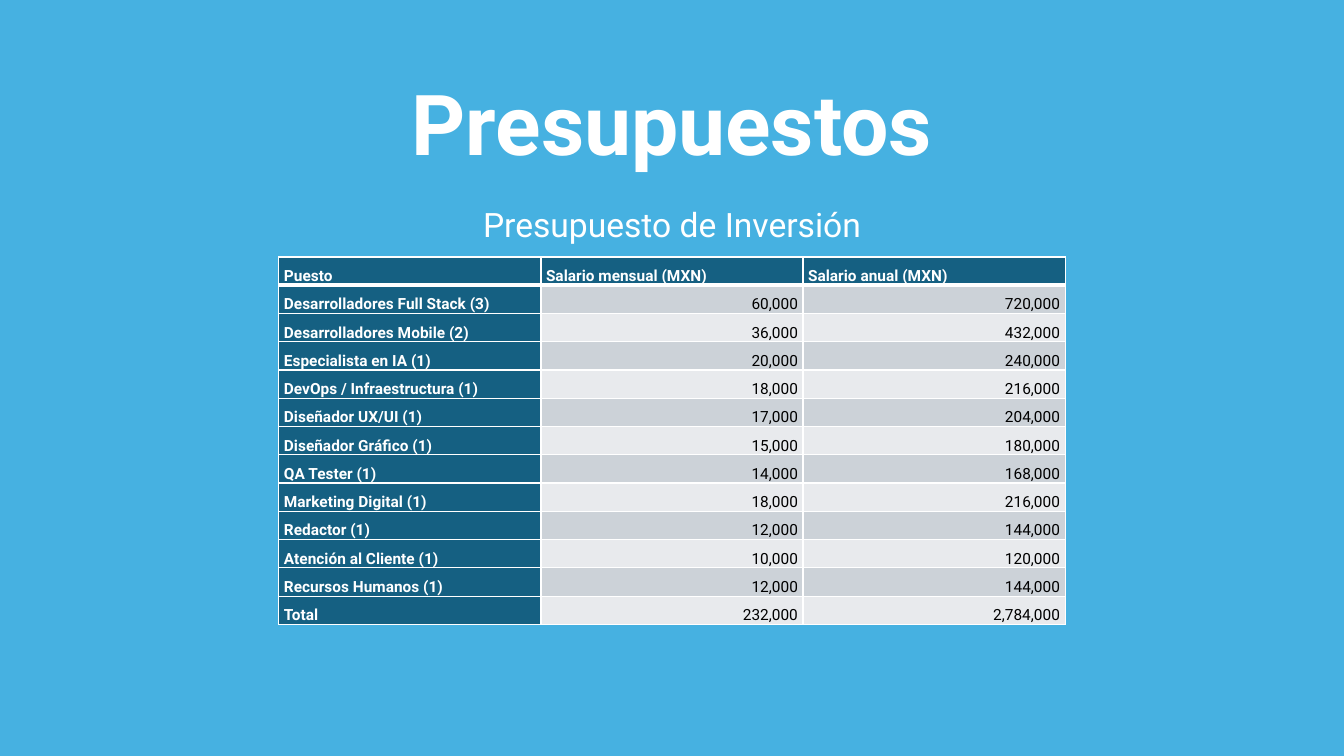
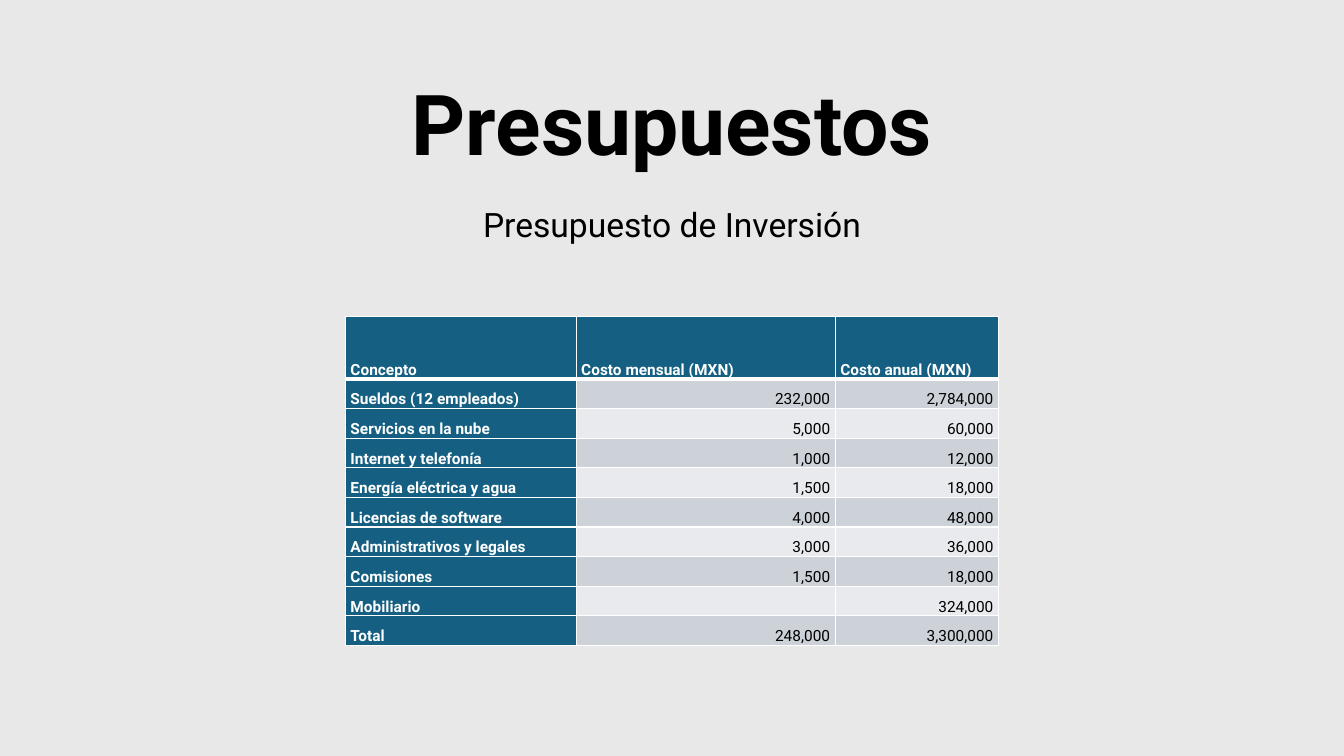
"""Build two budget slides, each with a title, a subtitle and a cost table."""
from dataclasses import dataclass
from typing import Optional

from lxml import etree
from pptx import Presentation
from pptx import util as u
from pptx.dml.color import RGBColor
from pptx.enum import shapes, text
from pptx.oxml.ns import qn

FONT = "Roboto"
WHITE = RGBColor(0xFF, 0xFF, 0xFF)
BLACK = RGBColor(0x00, 0x00, 0x00)
PALE_GREY = RGBColor(0xE8, 0xE8, 0xE8)
SKY_BLUE = RGBColor(0x46, 0xB1, 0xE1)
DEEP_BLUE = RGBColor(0x15, 0x60, 0x82)
STRIPES = (RGBColor(0xCC, 0xD2, 0xD8), RGBColor(0xE8, 0xEA, 0xED))

SLIDE_WIDTH = u.Inches(13.33)
SLIDE_HEIGHT = u.Inches(7.5)
THIN, THICK = 1, 3
CELL_SIZE = 11
CELL_INSET = u.Inches(0.05)


@dataclass(frozen=True)
class Area:
    """Place on the slide, in percent of its width and height."""

    left: float
    top: float
    width: float
    height: float

    def box(self) -> tuple[int, int, int, int]:
        """Return left, top, width and height as slide lengths."""
        return across(self.left), down(self.top), across(self.width), down(self.height)


@dataclass(frozen=True)
class Budget:
    """Content of one slide; table lengths are percent of the slide."""

    ink: RGBColor
    backdrop: Optional[RGBColor]
    top: float
    columns: tuple[float, ...]
    header_height: float
    row_height: float
    headings: tuple[str, ...]
    costs: tuple[tuple[str, Optional[int], int], ...]


TITLE_AREA = Area(0, 3.47, 100, 25.2)
SUBTITLE_AREA = Area(10, 26.27, 80, 6.67)

BUDGETS = (
    Budget(
        ink=WHITE,
        backdrop=SKY_BLUE,
        top=34,
        columns=(19.5, 19.5, 19.5),
        header_height=3.74,
        row_height=3.74,
        headings=("Puesto", "Salario mensual (MXN)", "Salario anual (MXN)"),
        costs=(
            ("Desarrolladores Full Stack (3)", 60000, 720000),
            ("Desarrolladores Mobile (2)", 36000, 432000),
            ("Especialista en IA (1)", 20000, 240000),
            ("DevOps / Infraestructura (1)", 18000, 216000),
            ("Diseñador UX/UI (1)", 17000, 204000),
            ("Diseñador Gráfico (1)", 15000, 180000),
            ("QA Tester (1)", 14000, 168000),
            ("Marketing Digital (1)", 18000, 216000),
            ("Redactor (1)", 12000, 144000),
            ("Atención al Cliente (1)", 10000, 120000),
            ("Recursos Humanos (1)", 12000, 144000),
            ("Total", 232000, 2784000),
        ),
    ),
    Budget(
        ink=BLACK,
        backdrop=None,
        top=41.87,
        columns=(17.17, 19.28, 12.15),
        header_height=8.27,
        row_height=3.92,
        headings=("Concepto", "Costo mensual (MXN)", "Costo anual (MXN)"),
        costs=(
            ("Sueldos (12 empleados)", 232000, 2784000),
            ("Servicios en la nube", 5000, 60000),
            ("Internet y telefonía", 1000, 12000),
            ("Energía eléctrica y agua", 1500, 18000),
            ("Licencias de software", 4000, 48000),
            ("Administrativos y legales", 3000, 36000),
            ("Comisiones", 1500, 18000),
            ("Mobiliario", None, 324000),
            ("Total", 248000, 3300000),
        ),
    ),
)


def across(percent: float) -> int:
    """Turn a percentage of the slide's width into a length."""
    return round(SLIDE_WIDTH * percent / 100)


def down(percent: float) -> int:
    """Turn a percentage of the slide's height into a length."""
    return round(SLIDE_HEIGHT * percent / 100)


def write(frame, words: str, *, size: float, color: RGBColor, bold: bool = False,
          align=text.PP_ALIGN.LEFT, line_spacing: Optional[float] = None,
          space_after: Optional[float] = None) -> None:
    """Write one formatted paragraph into a text frame."""
    paragraph = frame.paragraphs[0]
    paragraph.alignment = align
    if line_spacing is not None:
        paragraph.line_spacing = line_spacing
    if space_after is not None:
        paragraph.space_after = u.Pt(space_after)
    if not words:
        etree.SubElement(paragraph._p, qn("a:endParaRPr"), sz=str(size * 100))
        return
    run = paragraph.add_run()
    run.text = words
    run.font.name = FONT
    run.font.size = u.Pt(size)
    run.font.bold = bold
    run.font.color.rgb = color


def add_heading(slide, area: Area, words: str, anchor, **style) -> None:
    """Add a centred line of text to the slide."""
    frame = slide.shapes.add_textbox(*area.box()).text_frame
    frame.word_wrap = True
    frame.vertical_anchor = anchor
    write(frame, words, align=text.PP_ALIGN.CENTER, **style)


def add_backdrop(slide, color: RGBColor) -> None:
    """Cover the slide with a plain colour."""
    backdrop = slide.shapes.add_shape(
        shapes.MSO_SHAPE.RECTANGLE, *Area(0, 0, 100, 100).box())
    backdrop.shadow.inherit = False
    backdrop.fill.solid()
    backdrop.fill.fore_color.rgb = color
    backdrop.line.fill.background()


def add_borders(cell, top: float, bottom: float) -> None:
    """Draw white borders around a table cell."""
    properties = cell._tc.get_or_add_tcPr()
    for side, points in (("L", THIN), ("R", THIN), ("T", top), ("B", bottom)):
        border = etree.SubElement(properties, qn(f"a:ln{side}"), w=str(u.Pt(points)))
        fill = etree.SubElement(border, qn("a:solidFill"))
        etree.SubElement(fill, qn("a:srgbClr"), val=str(WHITE))


def fill_cell(cell, words: str, row: int, column: int) -> None:
    """Format and write a cell according to its place in the table."""
    is_label = row == 0 or column == 0
    add_borders(cell, top=THICK if row == 1 else THIN, bottom=THICK if row == 0 else THIN)
    cell.fill.solid()
    cell.fill.fore_color.rgb = DEEP_BLUE if is_label else STRIPES[(row - 1) % 2]
    cell.vertical_anchor = text.MSO_ANCHOR.BOTTOM
    cell.margin_left = cell.margin_right = CELL_INSET
    cell.margin_top = cell.margin_bottom = 0
    write(cell.text_frame, words, size=CELL_SIZE, bold=is_label,
          color=WHITE if is_label else BLACK,
          align=text.PP_ALIGN.LEFT if is_label else text.PP_ALIGN.RIGHT,
          line_spacing=1.5, space_after=8)


def add_cost_table(slide, budget: Budget) -> None:
    """Add the budget's table, centred across the slide."""
    lines = [budget.headings]
    for label, *amounts in budget.costs:
        lines.append((label, *("" if amount is None else f"{amount:,}" for amount in amounts)))
    width = sum(budget.columns)
    height = budget.header_height + budget.row_height * len(budget.costs)
    area = Area((100 - width) / 2, budget.top, width, height)
    table = slide.shapes.add_table(len(lines), len(budget.columns), *area.box()).table
    for column, share in zip(table.columns, budget.columns):
        column.width = across(share)
    for row, line in enumerate(lines):
        table.rows[row].height = down(budget.row_height if row else budget.header_height)
        for column, words in enumerate(line):
            fill_cell(table.cell(row, column), words, row, column)


def add_budget_slide(deck, budget: Budget) -> None:
    """Add a slide with the shared headings and one cost table."""
    slide = deck.slides.add_slide(deck.slide_layouts[6])
    slide.background.fill.solid()
    slide.background.fill.fore_color.rgb = PALE_GREY
    if budget.backdrop is not None:
        add_backdrop(slide, budget.backdrop)
    add_heading(slide, TITLE_AREA, "Presupuestos", text.MSO_ANCHOR.MIDDLE,
                size=60, color=budget.ink, bold=True)
    add_heading(slide, SUBTITLE_AREA, "Presupuesto de Inversión", text.MSO_ANCHOR.TOP,
                size=24, color=budget.ink)
    add_cost_table(slide, budget)


def main() -> None:
    """Build and save the presentation."""
    deck = Presentation()
    deck.slide_width = SLIDE_WIDTH
    deck.slide_height = SLIDE_HEIGHT
    for budget in BUDGETS:
        add_budget_slide(deck, budget)
    deck.save("out.pptx")


if __name__ == "__main__":
    main()
